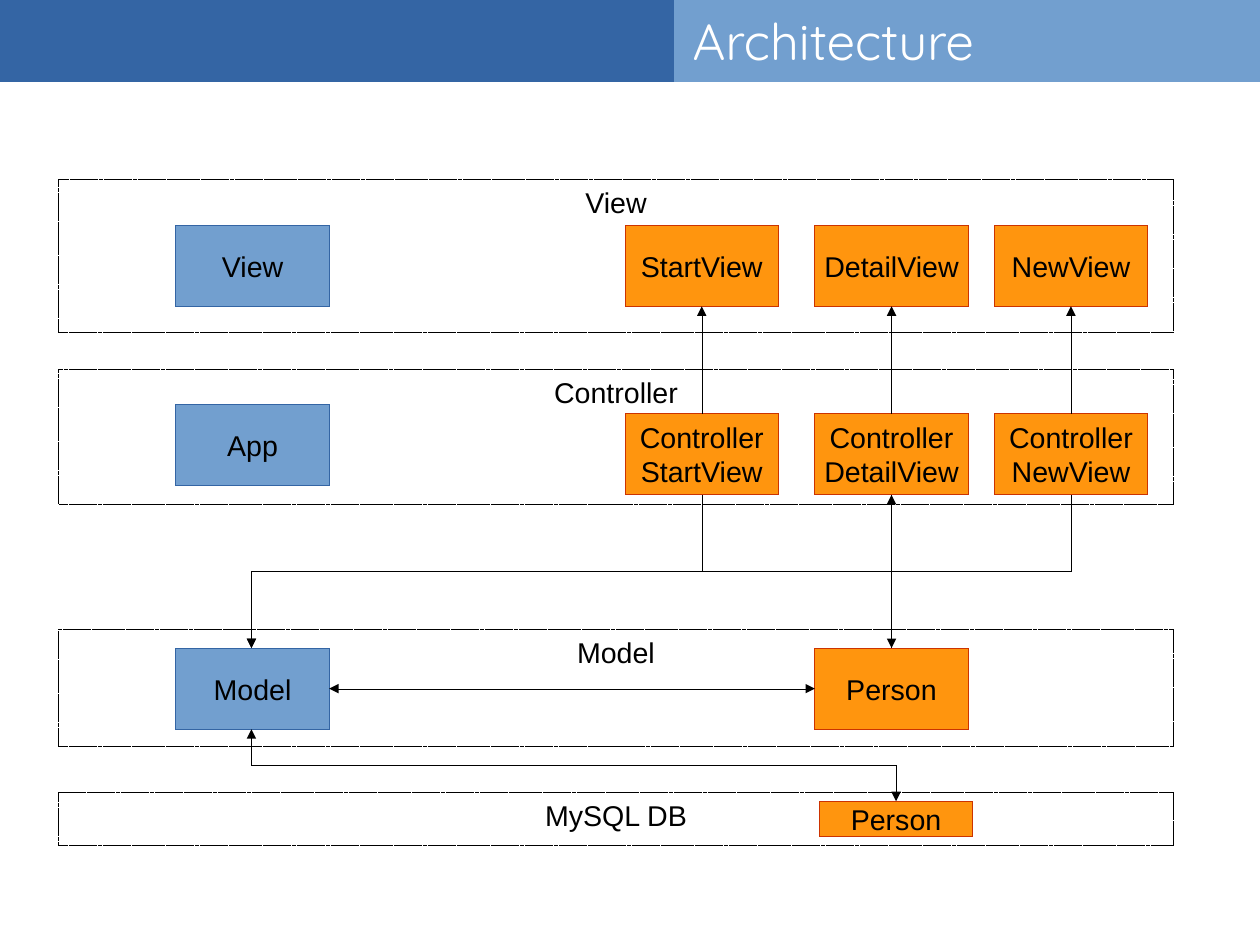
from lxml import etree
from pptx import Presentation
from pptx.dml.color import RGBColor
from pptx.enum.dml import MSO_LINE
from pptx.enum.shapes import MSO_CONNECTOR as CONNECTOR, MSO_SHAPE
from pptx.enum.text import MSO_ANCHOR as ANCHOR, PP_ALIGN as ALIGN
from pptx.oxml.ns import qn
from pptx.util import Inches, Pt

BLACK = RGBColor(0x00, 0x00, 0x00)
WHITE = RGBColor(0xFF, 0xFF, 0xFF)
BLUE = RGBColor(0x72, 0x9F, 0xCF)
DARK_BLUE = RGBColor(0x34, 0x65, 0xA4)
ORANGE = RGBColor(0xFF, 0x95, 0x0E)
RED = RGBColor(0xCC, 0x33, 0x00)
HAIRLINE = Pt(0.01)

presentation = Presentation()
presentation.slide_width = Inches(28 / 2.54)
presentation.slide_height = Inches(21 / 2.54)
slide = presentation.slides.add_slide(presentation.slide_layouts[5])


def add_box(text, left, top, width, height, fill, line, anchor=ANCHOR.MIDDLE):
    shape = slide.shapes.add_shape(
        MSO_SHAPE.RECTANGLE, Inches(left), Inches(top), Inches(width), Inches(height))
    shape.shadow.inherit = False
    shape.fill.solid()
    shape.fill.fore_color.rgb = fill
    shape.line.color.rgb = line
    shape.line.width = HAIRLINE
    frame = shape.text_frame
    frame.word_wrap = False
    frame.vertical_anchor = anchor
    frame.text = text
    for paragraph in frame.paragraphs:
        paragraph.alignment = ALIGN.CENTER
        paragraph.font.name = "Arial"
        paragraph.font.size = Pt(18)
        paragraph.font.color.rgb = BLACK
    return shape


def add_arrow(x1, y1, x2, y2, both_ends=False):
    bent = x1 != x2 and y1 != y2
    ends = (x1, y1, x2, y2)
    if bent:
        center_x, center_y = (x1 + x2) / 2, (y1 + y2) / 2
        half_run, half_drop = (x1 - x2) / 2, (y2 - y1) / 2
        ends = (center_x - half_drop, center_y - half_run,
                center_x + half_drop, center_y + half_run)
    connector = slide.shapes.add_connector(
        CONNECTOR.ELBOW if bent else CONNECTOR.STRAIGHT, *[Inches(end) for end in ends])
    connector.line.color.rgb = BLACK
    connector.line.width = HAIRLINE
    properties = connector.element.spPr
    if bent:
        properties.find(qn("a:xfrm")).set("rot", str(90 * 60000))
    line = properties.find(qn("a:ln"))
    for tag in ("a:headEnd", "a:tailEnd") if both_ends else ("a:tailEnd",):
        etree.SubElement(line, qn(tag), type="triangle")
    etree.SubElement(properties, qn("a:effectLst"))


lanes = [("View", 1.57, 1.34), ("Controller", 3.23, 1.18),
         ("Model", 5.51, 1.02), ("MySQL DB", 6.93, 0.47)]
for name, top, height in lanes:
    lane = add_box(name, 0.51, top, 9.76, height, WHITE, BLACK, ANCHOR.TOP)
    lane.line.dash_style = MSO_LINE.SQUARE_DOT

box_width, box_height = 1.34, 0.71
view_top, controller_top, model_top, database_top = 1.97, 3.62, 5.67, 7.01
view_bottom, controller_bottom, model_bottom = [
    top + box_height for top in (view_top, controller_top, model_top)]
base_left, person_left = 1.54, 7.13
base_center, start_center, detail_center, new_center = 2.2, 6.14, 7.8, 9.37

for name, top in [("View", view_top), ("App", 3.54), ("Model", model_top)]:
    add_box(name, base_left, top, box_width, box_height, BLUE, DARK_BLUE)

for name, left in [("StartView", 5.47), ("DetailView", person_left), ("NewView", 8.7)]:
    add_box(name, left, view_top, box_width, box_height, ORANGE, RED)
    add_box(f"Controller\n{name}", left, controller_top, box_width, box_height, ORANGE, RED)

for left, top, height in [(person_left, model_top, box_height), (7.17, database_top, 0.31)]:
    add_box("Person", left, top, box_width, height, ORANGE, RED)

for center in (start_center, detail_center, new_center):
    add_arrow(center, controller_top, center, view_bottom)

for source, target in [(start_center, base_center), (detail_center, base_center),
                       (new_center, detail_center)]:
    add_arrow(source, controller_bottom, target, model_top)
add_arrow(detail_center, model_top, detail_center, controller_bottom)

model_middle = model_top + box_height / 2
add_arrow(base_left + box_width, model_middle, person_left, model_middle, both_ends=True)
add_arrow(base_center, model_bottom, 7.84, database_top, both_ends=True)

for left, width, color in [(0, 11.02, DARK_BLUE), (5.9, 5.12, BLUE)]:
    add_box("", left, 0, width, 0.71, color, color)

title = slide.shapes.title
slide.shapes.element.append(title.element)
title.left, title.top, title.width, title.height = [
    Inches(length) for length in (6.06, 0, 4.96, 0.71)]
frame = title.text_frame
frame.margin_left = frame.margin_top = frame.margin_right = frame.margin_bottom = 0
frame.vertical_anchor = ANCHOR.MIDDLE
frame.text = "Architecture"
heading = frame.paragraphs[0]
heading.alignment = ALIGN.LEFT
heading.font.name = "Quicksand"
heading.font.size = Pt(32)
heading.font.color.rgb = WHITE

presentation.save("out.pptx")
